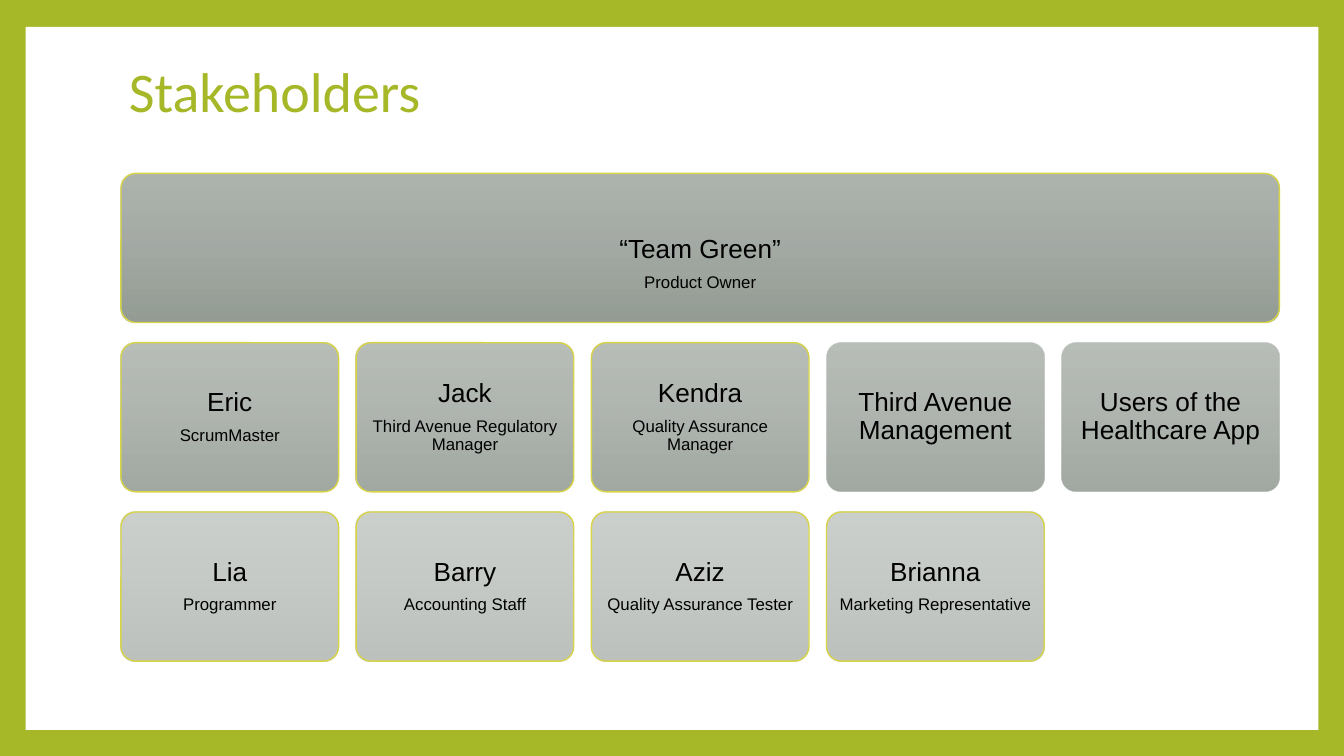
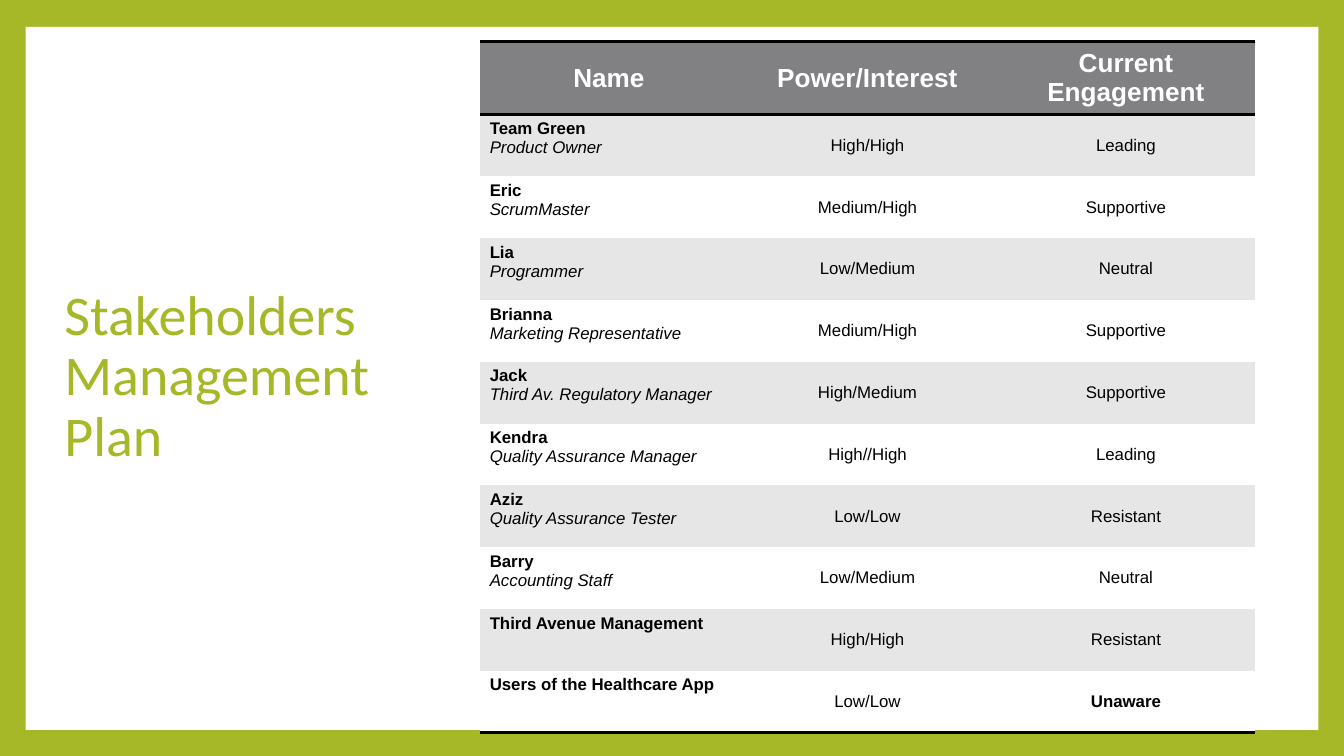
from lxml.etree import SubElement
from pptx import Presentation
from pptx.dml.color import RGBColor
from pptx.enum.shapes import MSO_SHAPE
from pptx.enum.text import MSO_ANCHOR, PP_ALIGN
from pptx.oxml import parse_xml
from pptx.oxml.ns import nsdecls, qn
from pptx.util import Pt

HEX = {
    "green": "A6B727", "white": "FFFFFF", "black": "000000",
    "edge": "D7D447", "head": "818183", "band": "E6E6E6",
    "light": "9BA29B", "mid": "8D958E", "dark": "79847A",
}
PLAIN = "{2D5ABB26-0587-4C30-8999-92F81FD0307C}"

LEFT, TOP = 64.8, 92.9
WIDE, HIGH = 116.6, 79.9
STEP_X, STEP_Y = 126, 90.7

OWNER = ("“Team Green”", "Product Owner")
TIERS = [
    (70, [("Eric", "ScrumMaster"),
          ("Jack", "Third Avenue Regulatory Manager"),
          ("Kendra", "Quality Assurance Manager"),
          ("Third Avenue Management", None),
          ("Users of the Healthcare App", None)]),
    (50, [("Lia", "Programmer"),
          ("Barry", "Accounting Staff"),
          ("Aziz", "Quality Assurance Tester"),
          ("Brianna", "Marketing Representative")]),
]

HEADS = ["Name", "Power/Interest", "Current Engagement"]
PLAN = [
    ("Team Green", "Product Owner", "High/High", "Leading"),
    ("Eric", "ScrumMaster", "Medium/High", "Supportive"),
    ("Lia", "Programmer", "Low/Medium", "Neutral"),
    ("Brianna", "Marketing Representative", "Medium/High", "Supportive"),
    ("Jack", "Third Av. Regulatory Manager", "High/Medium", "Supportive"),
    ("Kendra", "Quality Assurance Manager", "High//High", "Leading"),
    ("Aziz", "Quality Assurance Tester", "Low/Low", "Resistant"),
    ("Barry", "Accounting Staff", "Low/Medium", "Neutral"),
    ("Third Avenue Management", None, "High/High", "Resistant"),
    ("Users of the Healthcare App", None, "Low/Low", "Unaware"),
]


def tint(name):
    return RGBColor.from_string(HEX[name])


class Deck:
    """Holds the shared style and the slide being drawn."""

    def __init__(self):
        self.prs = Presentation()
        self.prs.slide_width, self.prs.slide_height = Pt(720), Pt(405)
        self.slide = None

    def start(self):
        """Add a slide with the green frame around a white panel."""
        self.slide = self.prs.slides.add_slide(self.prs.slide_layouts[6])
        back = self.slide.background.fill
        back.solid()
        back.fore_color.rgb = tint("green")
        panel = self.shape(MSO_SHAPE.RECTANGLE, 13.7, 14.4, 692.6, 376.6)
        panel.fill.solid()
        panel.fill.fore_color.rgb = tint("white")

    def shape(self, kind, *box):
        item = self.slide.shapes.add_shape(kind, *map(Pt, box))
        item.shadow.inherit = False
        item.line.fill.background()
        return item

    def inset(self, frame, left, top, right, bottom):
        frame.margin_left, frame.margin_top = Pt(left), Pt(top)
        frame.margin_right, frame.margin_bottom = Pt(right), Pt(bottom)

    def text(self, frame, lines, align=PP_ALIGN.LEFT, space=None, gap=0):
        """Fill a frame; each line is (words, size, colour, bold, italic, face)."""
        for i, (words, size, color, bold, slant, face) in enumerate(lines):
            para = frame.add_paragraph() if i else frame.paragraphs[0]
            para.alignment = align
            if space:
                para.line_spacing = space
            if i and gap:
                para.space_before = Pt(gap)
            run = para.add_run()
            run.text = words
            font = run.font
            font.name, font.size = face, Pt(size)
            font.bold, font.italic = bold, slant
            font.color.rgb = tint(color)

    def title(self, words, *box):
        frame = self.slide.shapes.add_textbox(*map(Pt, box)).text_frame
        frame.word_wrap = True
        frame.vertical_anchor = MSO_ANCHOR.MIDDLE
        self.inset(frame, 5, 2.7, 5, 2.7)
        self.text(frame, [(words, 30, "green", False, False, "Calibri")],
                  space=0.9)

    def shade(self, item, alpha):
        """Give a top-down grey gradient with the given opacity in percent."""
        item.fill.gradient()
        item.fill.gradient_angle = 270
        stops = item.element.spPr.find(".//" + qn("a:gsLst"))
        stops.clear()
        for pos, name in ((0, "light"), (50, "mid"), (100, "dark")):
            stop = SubElement(stops, qn("a:gs"), pos=str(pos * 1000))
            color = SubElement(stop, qn("a:srgbClr"), val=HEX[name])
            SubElement(color, qn("a:alpha"), val=str(alpha * 1000))

    def card(self, who, alpha, x, y, width=WIDE, head=4.3):
        name, role = who
        item = self.shape(MSO_SHAPE.ROUNDED_RECTANGLE, x, y, width, HIGH)
        item.adjustments[0] = 0.1
        self.shade(item, alpha)
        lines = [(name, 14, "black", False, False, "Arial")]
        if role:
            item.line.color.rgb = tint("edge")
            item.line.width = Pt(0.75)
            lines.append((role, 9, "black", False, False, "Arial"))
        frame = item.text_frame
        frame.word_wrap = True
        frame.vertical_anchor = MSO_ANCHOR.MIDDLE
        self.inset(frame, 4.3, head, 4.3, 4.3)
        self.text(frame, lines, PP_ALIGN.CENTER, 0.9, 5)

    def rule(self, cell, *sides):
        """Draw a black border on the given sides, in the order T, B."""
        for i, side in enumerate(sides):
            cell._tc.get_or_add_tcPr().insert(i, parse_xml(
                f'<a:ln{side} {nsdecls("a")} w="25400"><a:solidFill>'
                f'<a:srgbClr val="{HEX["black"]}"/></a:solidFill></a:ln{side}>'))

    def cell(self, cell, lines, fill, middle=True):
        cell.fill.solid()
        cell.fill.fore_color.rgb = tint(fill)
        self.inset(cell, 5.4, 2.7, 5.4, 2.7)
        cell.vertical_anchor = MSO_ANCHOR.MIDDLE if middle else MSO_ANCHOR.TOP
        self.text(cell.text_frame, lines,
                  PP_ALIGN.CENTER if middle else PP_ALIGN.LEFT)

    def grid(self, x, y, width, first, rest):
        """Draw the plan table with a header row and banded rows."""
        count = len(PLAN) + 1
        frame = self.slide.shapes.add_table(
            count, len(HEADS), Pt(x), Pt(y),
            Pt(width * len(HEADS)), Pt(first + rest * len(PLAN)))
        table = frame.table
        table._tbl.tblPr.find(qn("a:tableStyleId")).text = PLAIN
        for col in table.columns:
            col.width = Pt(width)
        for i, row in enumerate(table.rows):
            row.height = Pt(rest if i else first)
        for j, head in enumerate(HEADS):
            self.cell(table.cell(0, j),
                      [(head, 14, "white", True, False, "Arial")], "head")
            self.rule(table.cell(0, j), "T", "B")
        for i, (name, role, power, mood) in enumerate(PLAN, 1):
            fill = "band" if i % 2 else "white"
            lines = [(name, 9, "black", True, False, "Arial")]
            if role:
                lines.append((role, 9, "black", False, True, "Arial"))
            self.cell(table.cell(i, 0), lines, fill, False)
            for j, words in enumerate((power, mood), 1):
                bold = words == "Unaware"
                self.cell(table.cell(i, j),
                          [(words, 9, "black", bold, False, "Arial")], fill)
        for j in range(len(HEADS)):
            self.rule(table.cell(count - 1, j), "B")


def main():
    deck = Deck()

    deck.start()
    deck.title("Stakeholders", 64.1, 31.7, 606.2, 38.2)
    deck.card(OWNER, 80, LEFT, TOP, 4 * STEP_X + WIDE, 21.6)
    for i, (alpha, team) in enumerate(TIERS, 1):
        for j, who in enumerate(team):
            deck.card(who, alpha, LEFT + j * STEP_X, TOP + i * STEP_Y)

    deck.start()
    deck.title("Stakeholders Management Plan", 29.5, 128.9, 209.5, 146.9)
    deck.grid(257, 22.3, 138.5, 29.5, 33.12)

    deck.prs.save("out.pptx")


if __name__ == "__main__":
    main()
